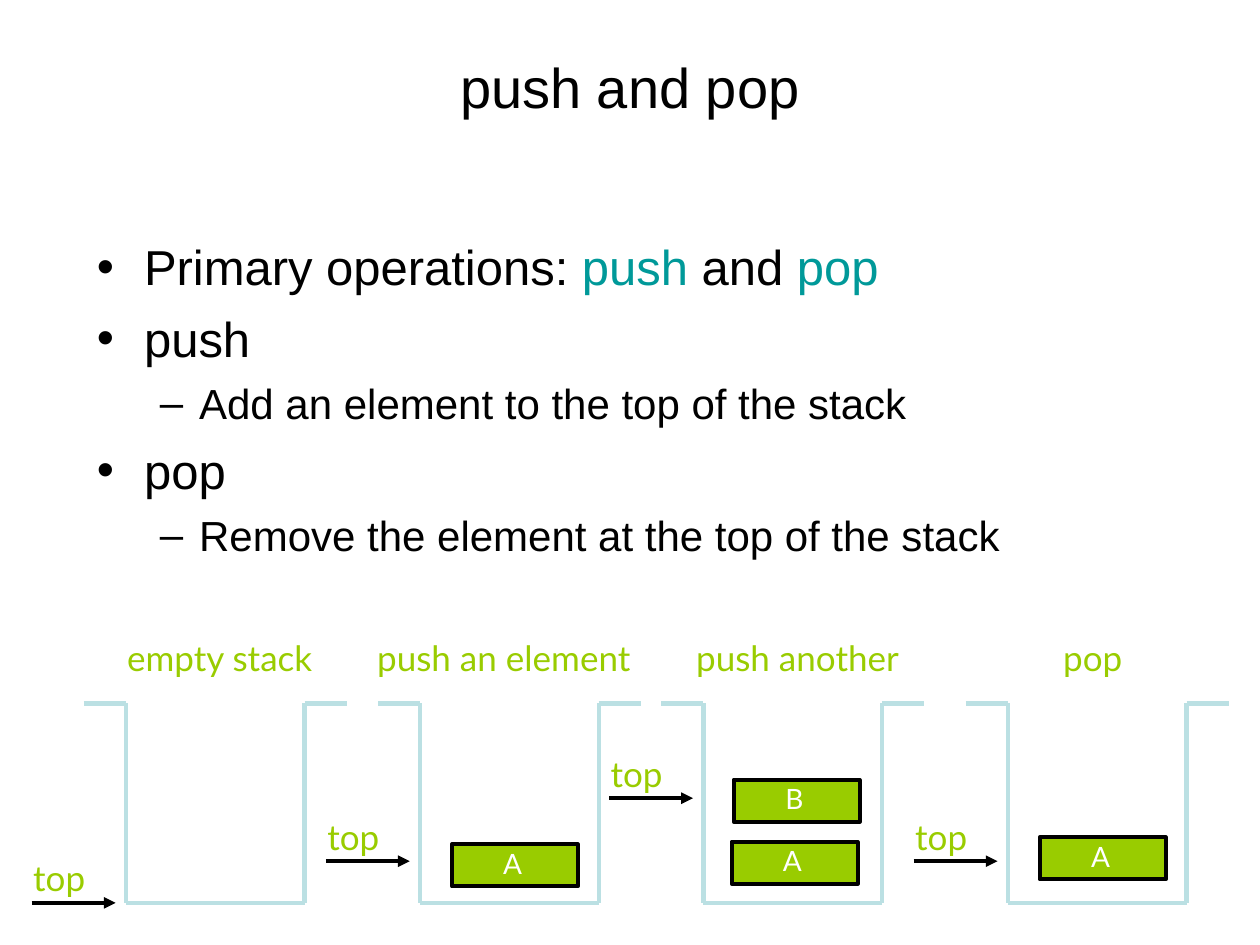
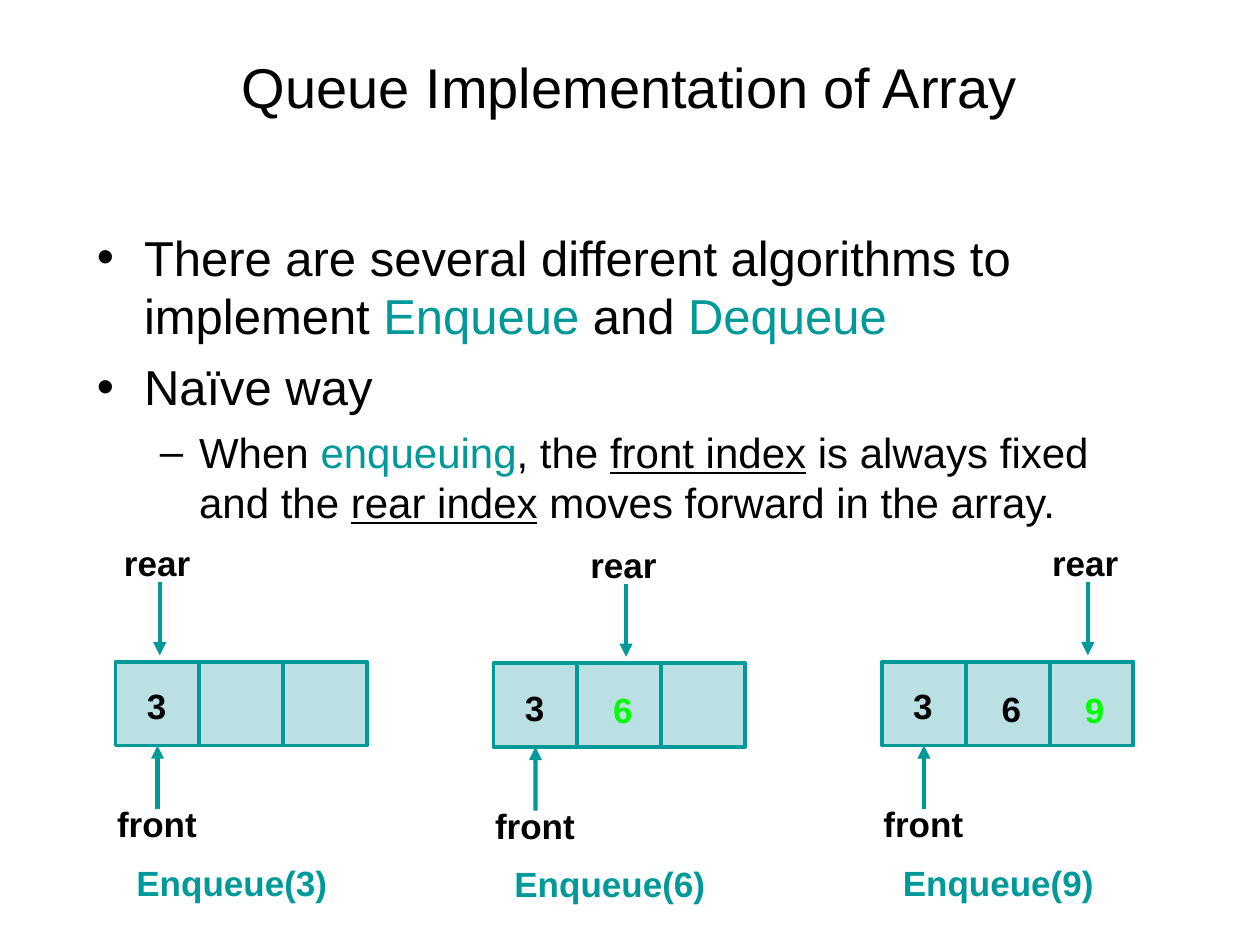
from dataclasses import dataclass
from itertools import pairwise

from lxml.etree import SubElement
from pptx import Presentation
from pptx.dml.color import RGBColor
from pptx.enum.shapes import MSO_CONNECTOR, MSO_SHAPE
from pptx.enum.text import MSO_ANCHOR, MSO_AUTO_SIZE, PP_ALIGN
from pptx.oxml.ns import qn
from pptx.util import Cm, Pt

BLACK = RGBColor(0x00, 0x00, 0x00)
WHITE = RGBColor(0xFF, 0xFF, 0xFF)
TEAL = RGBColor(0x00, 0x99, 0x99)
PALE_TEAL = RGBColor(0xBB, 0xE0, 0xE3)
LIME = RGBColor(0x99, 0xCC, 0x00)
GREEN = RGBColor(0x00, 0xFF, 0x00)

BODY_FONT = "Arial"
STACK_FONT = "Lato"
LABEL_HEIGHT = 1.12

# Stack drawing, in centimetres
RIM_Y, FLOOR_Y = 14.18, 18.2
STACK_WIDTH, LIP = 3.6, 0.85
ITEM_WIDTH, ITEM_HEIGHT = 2.54, 0.85

# Queue drawing, in centimetres
CELL = 1.69
CELL_COUNT = 3
DIGIT_OFFSETS = ((0.38, 0.34), (2.16, 0.39), (3.84, 0.41))


@dataclass(frozen=True)
class TextRun:
    text: str
    color: RGBColor = BLACK
    underline: bool = False


@dataclass(frozen=True)
class Bullet:
    level: int
    runs: tuple[TextRun, ...]


@dataclass(frozen=True)
class LevelStyle:
    size: int
    space_before: int
    margin: float
    indent: float


@dataclass(frozen=True)
class LabelStyle:
    font: str
    size: int
    color: RGBColor
    bold: bool = False
    align: PP_ALIGN = PP_ALIGN.LEFT
    wrap: bool = True


@dataclass(frozen=True)
class StackItem:
    letter: str
    offset: float
    top: float


@dataclass(frozen=True)
class Stack:
    """A stack state; wall is the x of its left side."""
    caption: str
    caption_center: float
    caption_width: float
    wall: float
    pointer_y: float
    items: tuple[StackItem, ...] = ()


@dataclass(frozen=True)
class Queue:
    """An array state; the last digit is the one just added."""
    left: float
    top: float
    digits: str
    new_color: RGBColor
    rear_offset: float


LEVELS = (LevelStyle(28, 7, 0.95, -0.95), LevelStyle(24, 6, 2.06, -0.79))

STACK_LABEL = LabelStyle(STACK_FONT, 20, LIME, align=PP_ALIGN.CENTER, wrap=False)
ITEM_LABEL = LabelStyle(STACK_FONT, 16, WHITE, align=PP_ALIGN.CENTER)
QUEUE_LABEL = LabelStyle(BODY_FONT, 20, BLACK, bold=True)
ENQUEUE_LABEL = LabelStyle(BODY_FONT, 20, TEAL, bold=True)

STACK_BULLETS = (
    Bullet(0, (TextRun("Primary operations: "), TextRun("push", TEAL),
               TextRun(" and "), TextRun("pop", TEAL))),
    Bullet(0, (TextRun("push"),)),
    Bullet(1, (TextRun("Add an element to the top of the stack"),)),
    Bullet(0, (TextRun("pop"),)),
    Bullet(1, (TextRun("Remove the element at the top of the stack"),)),
)

STACKS = (
    Stack("empty stack", 1.89, 4.5, 2.54, FLOOR_Y),
    Stack("push an element", 1.69, 6.07, 8.47, 17.36,
          (StackItem("A", 0.64, 17.02),)),
    Stack("push another", 1.9, 4.98, 14.18, 16.09,
          (StackItem("A", 0.57, 16.97), StackItem("B", 0.61, 15.72))),
    Stack("pop", 1.71, 1.8, 20.32, 17.36, (StackItem("A", 0.64, 16.88),)),
)

QUEUE_BULLETS = (
    Bullet(0, (TextRun("There are several different algorithms to implement "),
               TextRun("Enqueue", TEAL), TextRun(" and "), TextRun("Dequeue", TEAL))),
    Bullet(0, (TextRun("Naïve way"),)),
    Bullet(1, (TextRun("When "), TextRun("enqueuing", TEAL), TextRun(", the "),
               TextRun("front index", underline=True),
               TextRun(" is always fixed and the "),
               TextRun("rear index", underline=True),
               TextRun(" moves forward in the array."))),
)

QUEUES = (
    Queue(2.33, 13.34, "3", BLACK, 0.89),
    Queue(9.95, 13.37, "36", GREEN, 2.67),
    Queue(17.78, 13.34, "369", GREEN, 4.15),
)


def place(shape, left: float, top: float, width: float, height: float) -> None:
    shape.left, shape.top = Cm(left), Cm(top)
    shape.width, shape.height = Cm(width), Cm(height)


def fill_body(frame, bullets: tuple[Bullet, ...]) -> None:
    frame.auto_size = MSO_AUTO_SIZE.NONE
    for index, bullet in enumerate(bullets):
        paragraph = frame.add_paragraph() if index else frame.paragraphs[0]
        style = LEVELS[bullet.level]
        paragraph.level = bullet.level
        paragraph.space_before = Pt(style.space_before)
        paragraph.font.name, paragraph.font.size = BODY_FONT, Pt(style.size)
        properties = paragraph._p.get_or_add_pPr()
        properties.set("marL", str(Cm(style.margin)))
        properties.set("indent", str(Cm(style.indent)))
        for part in bullet.runs:
            run = paragraph.add_run()
            run.text = part.text
            run.font.color.rgb = part.color
            if part.underline:
                run.font.underline = True


def add_content_slide(presentation, title: str, bullets: tuple[Bullet, ...],
                      body_top: float, body_height: float):
    slide = presentation.slides.add_slide(presentation.slide_layouts[1])
    heading, body = slide.placeholders
    place(heading, 1.27, 0.76, 22.86, 1.96)
    heading.text_frame.text = title
    heading.text_frame.vertical_anchor = MSO_ANCHOR.MIDDLE
    paragraph = heading.text_frame.paragraphs[0]
    paragraph.alignment = PP_ALIGN.CENTER
    paragraph.font.name, paragraph.font.size = BODY_FONT, Pt(32)
    paragraph.font.color.rgb = BLACK
    place(body, 1.7, body_top, 21.8, body_height)
    fill_body(body.text_frame, bullets)
    return slide


def add_label(shapes, text: str, left: float, top: float, width: float,
              style: LabelStyle, height: float = LABEL_HEIGHT) -> None:
    box = shapes.add_textbox(Cm(left), Cm(top), Cm(width), Cm(height))
    frame = box.text_frame
    frame.word_wrap = style.wrap
    frame.auto_size = MSO_AUTO_SIZE.SHAPE_TO_FIT_TEXT
    frame.text = text
    paragraph = frame.paragraphs[0]
    paragraph.alignment = style.align
    font = paragraph.font
    font.name, font.size, font.bold = style.font, Pt(style.size), style.bold
    font.color.rgb = style.color


def add_line(shapes, start: tuple[float, float], end: tuple[float, float],
             color: RGBColor, width: float = 2.5, arrow: bool = False):
    points = [Cm(value) for value in (*start, *end)]
    connector = shapes.add_connector(MSO_CONNECTOR.STRAIGHT, *points)
    connector.line.color.rgb = color
    connector.line.width = Pt(width)
    if arrow:
        SubElement(connector.line._get_or_add_ln(), qn("a:tailEnd"), type="triangle")
    SubElement(connector._element.spPr, qn("a:effectLst"))
    return connector


def add_rectangle(shapes, left: float, top: float, width: float, height: float,
                  fill: RGBColor, outline: RGBColor):
    rectangle = shapes.add_shape(MSO_SHAPE.RECTANGLE, Cm(left), Cm(top),
                                 Cm(width), Cm(height))
    rectangle.shadow.inherit = False
    rectangle.fill.solid()
    rectangle.fill.fore_color.rgb = fill
    rectangle.line.color.rgb = outline
    rectangle.line.width = Pt(2.25)
    return rectangle


def draw_stack(slide, stack: Stack) -> None:
    shapes = slide.shapes.add_group_shape().shapes
    left, right = stack.wall, stack.wall + STACK_WIDTH
    outline = ((left - LIP, RIM_Y), (left, RIM_Y), (left, FLOOR_Y),
               (right, FLOOR_Y), (right, RIM_Y), (right + LIP, RIM_Y))
    for start, end in pairwise(outline):
        add_line(shapes, start, end, PALE_TEAL)

    caption_left = left + stack.caption_center - stack.caption_width / 2
    add_label(shapes, stack.caption, caption_left, 12.7, stack.caption_width,
              STACK_LABEL)
    add_line(shapes, (left - 1.9, stack.pointer_y), (left - 0.21, stack.pointer_y),
             BLACK, width=2.25, arrow=True)
    add_label(shapes, "top", left - 2.16, stack.pointer_y - 1.05, 1.63, STACK_LABEL)

    for item in stack.items:
        item_left = left + item.offset
        add_rectangle(shapes, item_left, item.top, ITEM_WIDTH, ITEM_HEIGHT, LIME, BLACK)
        add_label(shapes, item.letter, item_left + 0.77, item.top - 0.08, 0.91,
                  ITEM_LABEL, height=0.94)


def draw_queue(slide, queue: Queue) -> None:
    shapes = slide.shapes.add_group_shape().shapes
    left, top = queue.left, queue.top
    cells = [add_rectangle(shapes, left + index * CELL, top, CELL, CELL,
                           PALE_TEAL, TEAL) for index in range(CELL_COUNT)]

    add_label(shapes, "front", left - 0.22, top + 2.72, 2.75, QUEUE_LABEL)
    front_x = left + CELL / 2
    front_arrow = add_line(shapes, (front_x, top + 2.97), (front_x, top + CELL),
                           TEAL, arrow=True)
    front_arrow.end_connect(cells[0], 2)

    rear_x = left + queue.rear_offset
    add_label(shapes, "rear", rear_x - 0.97, top - 2.54, 2.75, QUEUE_LABEL)
    add_line(shapes, (rear_x, top - 1.6), (rear_x, top - 0.13), TEAL, arrow=True)

    newest = len(queue.digits) - 1
    for index, (digit, offset) in enumerate(zip(queue.digits, DIGIT_OFFSETS)):
        color = queue.new_color if index == newest else BLACK
        add_label(shapes, digit, left + offset[0], top + offset[1], 0.85,
                  LabelStyle(BODY_FONT, 20, color, bold=True))
    add_label(shapes, f"Enqueue({queue.digits[-1]})", left + 0.17, top + 3.9, 4.9,
              ENQUEUE_LABEL)


def main() -> None:
    presentation = Presentation()
    presentation.slide_width, presentation.slide_height = Cm(25.4), Cm(19.05)

    stack_slide = add_content_slide(presentation, "push and pop", STACK_BULLETS,
                                    4.65, 11.43)
    for stack in STACKS:
        draw_stack(stack_slide, stack)

    queue_slide = add_content_slide(presentation, "Queue Implementation of Array",
                                    QUEUE_BULLETS, 4.45, 6.99)
    for queue in QUEUES:
        draw_queue(queue_slide, queue)

    presentation.save("out.pptx")


if __name__ == "__main__":
    main()
